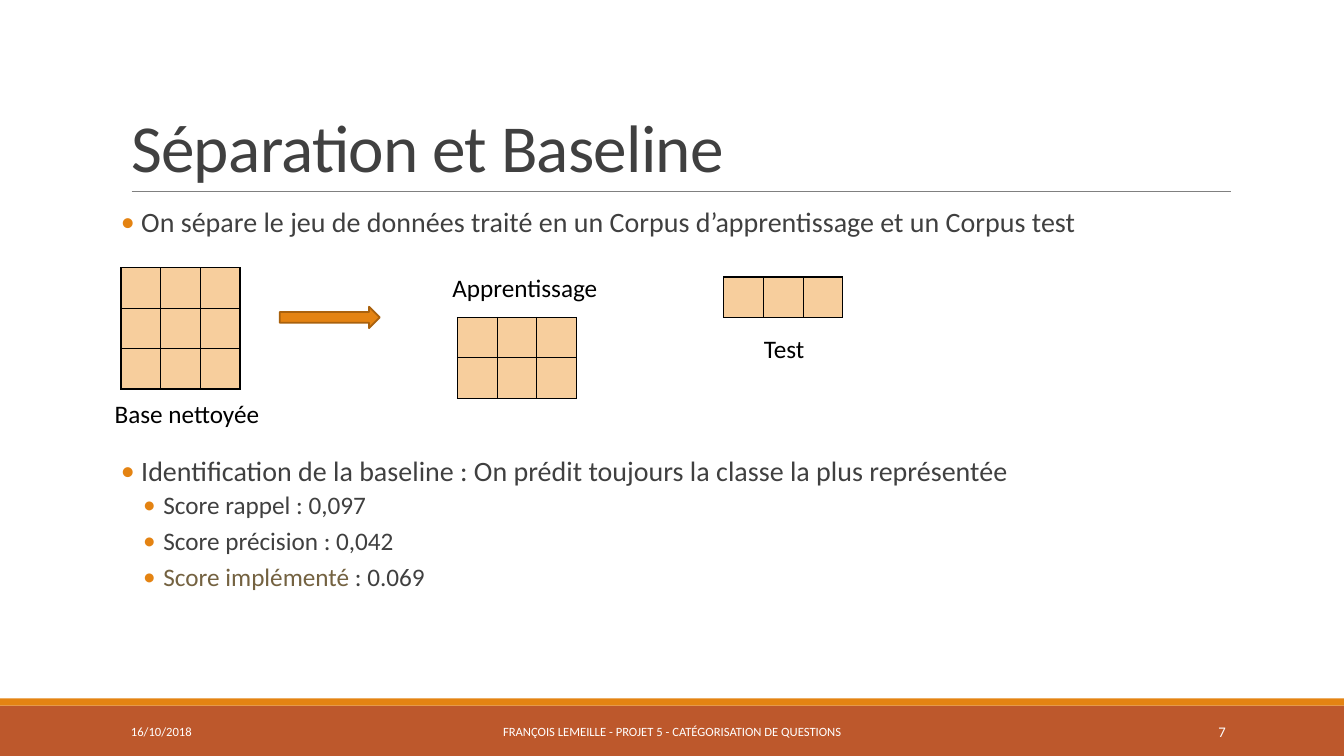
from lxml.etree import SubElement
from pptx import Presentation
from pptx.dml.color import RGBColor
from pptx.enum.shapes import MSO_CONNECTOR, MSO_SHAPE
from pptx.enum.text import MSO_ANCHOR, PP_ALIGN
from pptx.oxml.ns import qn
from pptx.util import Cm, Pt

COLORS = {
    "white": "FFFFFF", "black": "000000", "text": "404040", "olive": "746241",
    "rule": "808080", "orange": "E48312", "dark orange": "A9610D",
    "rust": "BD582C", "cell": "F7CE9D",
}
FONT = "Calibri"
SLIDE_WIDTH, SLIDE_HEIGHT = 33.87, 19.05
MARGIN, CONTENT_WIDTH = 3.05, 27.94
CELL_SIZE = 1.0

TITLE = "Séparation et Baseline"
# Top and height of each body block, then its paragraphs: level and coloured runs
BODY = [
    (5.13, 1.2, [
        (0, [(" On sépare le jeu de données traité en un Corpus d’apprentissage"
              " et un Corpus test", "text")]),
    ]),
    (11.4, 4.9, [
        (0, [(" Identification de la baseline : On prédit toujours la classe"
              " la plus représentée", "text")]),
        (1, [("Score rappel : 0,097", "text")]),
        (1, [("Score précision : 0,042", "text")]),
        (1, [("Score implémenté ", "olive"), (": 0.069", "text")]),
    ]),
]
LEVELS = [
    {"size": 20, "before": 12, "after": 2, "left": 0.25, "hanging": 0.25},
    {"size": 18, "before": 2, "after": 4, "left": 1.07, "hanging": 0.51},
]
# Left, top, number of rows
GRIDS = [(MARGIN, 6.75, 3), (11.53, 8.0, 2), (18.24, 6.98, 1)]
GRID_COLUMNS = 3
# Text, left, top, width
LABELS = [
    ("Apprentissage", 11.15, 6.75, 5.2),
    ("Test", 19.0, 8.27, 3.53),
    ("Base nettoyée", 2.64, 9.91, 5.2),
]
# Text, left, width, size, alignment
FOOTERS = [
    ("16/10/2018", MARGIN, 6.86, 9, PP_ALIGN.LEFT),
    ("FRANÇOIS LEMEILLE - PROJET 5 - CATÉGORISATION DE QUESTIONS",
     10.24, 13.39, 9, PP_ALIGN.CENTER),
    ("7", 27.51, 3.63, 10.5, PP_ALIGN.RIGHT),
]
# Top, height, colour
BANDS = [(17.78, 1.27, "rust"), (17.6, 0.18, "orange")]


def color(name):
    return RGBColor.from_string(COLORS[name])


def set_all(target, values):
    for name, value in values.items():
        setattr(target, name, value)


def add_run(paragraph, text, size, color_name):
    run = paragraph.add_run()
    run.text = text
    set_all(run.font, {"name": FONT, "size": Pt(size)})
    run.font.color.rgb = color(color_name)
    return run


def add_text_box(slide, left, top, width, height, **frame_format):
    box = slide.shapes.add_textbox(Cm(left), Cm(top), Cm(width), Cm(height))
    set_all(box.text_frame, {"word_wrap": True, **frame_format})
    return box.text_frame


def add_filled_shape(slide, kind, left, top, width, height, fill):
    shape = slide.shapes.add_shape(kind, Cm(left), Cm(top), Cm(width), Cm(height))
    shape.shadow.inherit = False
    shape.fill.solid()
    shape.fill.fore_color.rgb = color(fill)
    shape.line.fill.background()
    return shape


def add_title(slide):
    title = slide.shapes.title
    set_all(title, {"left": Cm(MARGIN), "top": Cm(0.79),
                    "width": Cm(CONTENT_WIDTH), "height": Cm(4.04)})
    set_all(title.text_frame, {"vertical_anchor": MSO_ANCHOR.BOTTOM, "word_wrap": True})
    paragraph = title.text_frame.paragraphs[0]
    set_all(paragraph, {"alignment": PP_ALIGN.LEFT, "line_spacing": 0.85})
    run = add_run(paragraph, TITLE, 48, "text")
    run.font._element.set("spc", "-50")


def add_rule(slide):
    rule = slide.shapes.add_connector(
        MSO_CONNECTOR.STRAIGHT, Cm(3.32), Cm(4.83), Cm(31.01), Cm(4.83))
    rule.line.color.rgb = color("rule")
    rule.line.width = Pt(0.5)
    SubElement(rule._element.spPr, qn("a:effectLst"))


def add_bullet(paragraph, left, hanging):
    properties = paragraph._p.get_or_add_pPr()
    properties.set("marL", str(Cm(left)))
    properties.set("indent", str(-Cm(hanging)))
    bullet_color = SubElement(properties, qn("a:buClr"))
    SubElement(bullet_color, qn("a:srgbClr"), val=COLORS["orange"])
    SubElement(properties, qn("a:buFont"), typeface=FONT)
    SubElement(properties, qn("a:buChar"), char="•")


def add_body(slide, top, height, paragraphs):
    frame = add_text_box(slide, MARGIN, top, CONTENT_WIDTH, height,
                         margin_left=0, margin_right=0)
    for index, (level, runs) in enumerate(paragraphs):
        paragraph = frame.add_paragraph() if index else frame.paragraphs[0]
        style = LEVELS[level]
        set_all(paragraph, {"level": level, "line_spacing": 0.9,
                            "space_before": Pt(style["before"]),
                            "space_after": Pt(style["after"])})
        add_bullet(paragraph, style["left"], style["hanging"])
        for text, color_name in runs:
            add_run(paragraph, text, style["size"], color_name)


def add_borders(cell):
    properties = cell._tc.get_or_add_tcPr()
    for side in ("lnL", "lnR", "lnT", "lnB"):
        border = SubElement(properties, qn(f"a:{side}"), w=str(Pt(1)))
        fill = SubElement(border, qn("a:solidFill"))
        SubElement(fill, qn("a:srgbClr"), val=COLORS["black"])


def add_grid(slide, left, top, row_count):
    table = slide.shapes.add_table(
        row_count, GRID_COLUMNS, Cm(left), Cm(top),
        Cm(GRID_COLUMNS * CELL_SIZE), Cm(row_count * CELL_SIZE)).table
    set_all(table, {"first_row": False, "horz_banding": False})
    for cell in table.iter_cells():
        add_borders(cell)
        cell.fill.solid()
        cell.fill.fore_color.rgb = color("cell")


def main():
    presentation = Presentation()
    set_all(presentation, {"slide_width": Cm(SLIDE_WIDTH),
                           "slide_height": Cm(SLIDE_HEIGHT)})
    slide = presentation.slides.add_slide(presentation.slide_layouts[5])

    for top, height, fill in BANDS:
        add_filled_shape(slide, MSO_SHAPE.RECTANGLE, 0, top, SLIDE_WIDTH, height, fill)
    add_rule(slide)
    add_title(slide)
    for block in BODY:
        add_body(slide, *block)
    for grid in GRIDS:
        add_grid(slide, *grid)

    arrow = add_filled_shape(slide, MSO_SHAPE.RIGHT_ARROW, 7.05, 7.73, 2.52, 0.54, "orange")
    arrow.line.color.rgb = color("dark orange")
    arrow.line.width = Pt(1.25)

    for text, left, top, width in LABELS:
        frame = add_text_box(slide, left, top, width, 1.03)
        add_run(frame.paragraphs[0], text, 18, "black")
    for text, left, width, size, alignment in FOOTERS:
        frame = add_text_box(slide, left, 17.94, width, 1.01,
                             vertical_anchor=MSO_ANCHOR.MIDDLE)
        frame.paragraphs[0].alignment = alignment
        add_run(frame.paragraphs[0], text, size, "white")

    presentation.save("out.pptx")


if __name__ == "__main__":
    main()
